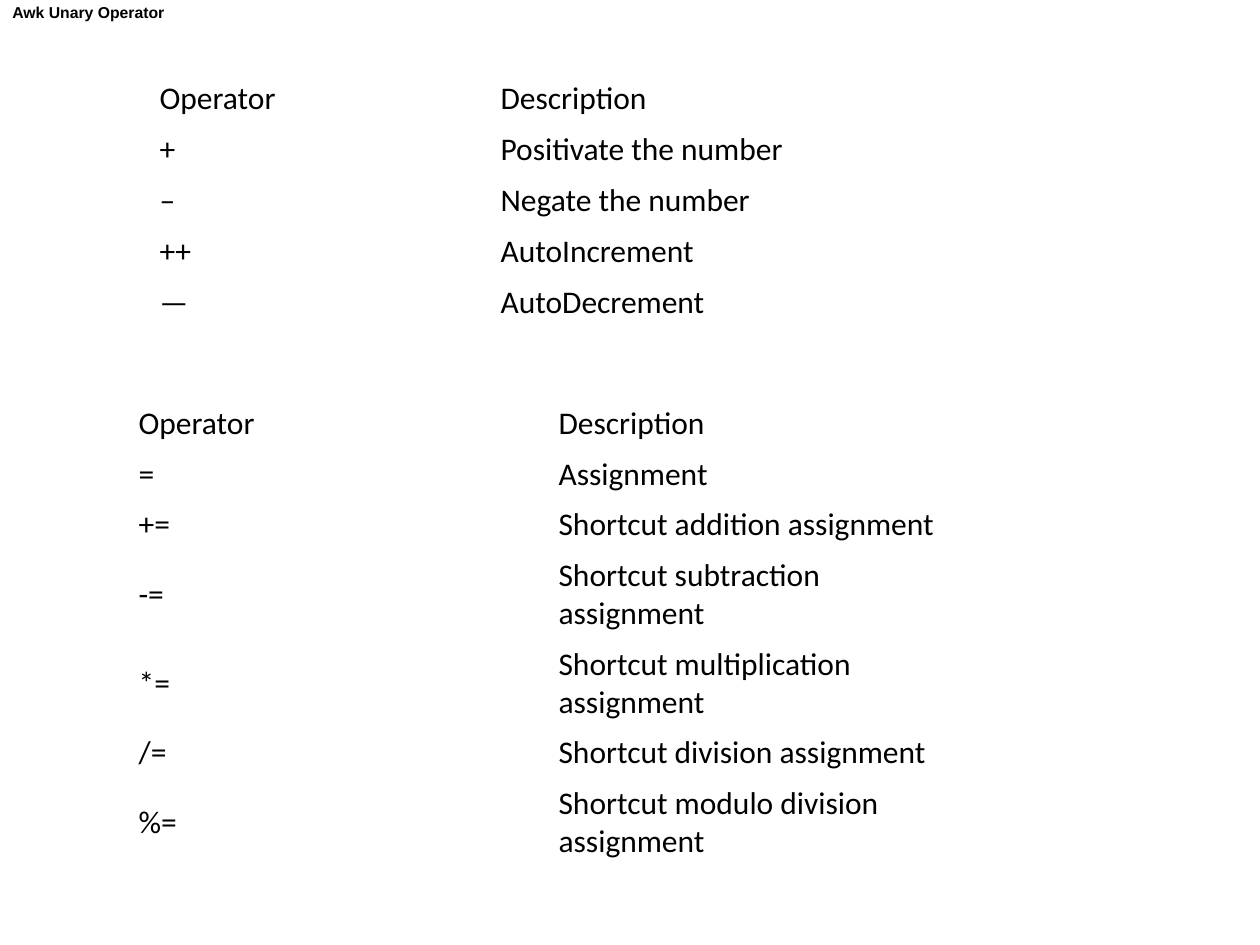
"""Build a slide with two tables of Awk operators."""
from pptx import Presentation
from pptx.dml.color import RGBColor
from pptx.enum.text import MSO_ANCHOR
from pptx.util import Pt

MIDDLE, TOP = MSO_ANCHOR.MIDDLE, MSO_ANCHOR.TOP
PX = 914400 / 126
COLORS = {"text": "000000"}


def px(n):
    return round(n * PX)


def add_run(p, text, font, size, bold=False):
    r = p.add_run()
    r.text = text
    r.font.name = font
    r.font.size = Pt(size)
    r.font.bold = bold
    r.font.color.rgb = RGBColor.from_string(COLORS["text"])


UNARY = [
    ("Operator", "Description"),
    ("+", "Positivate the number"),
    ("–", "Negate the number"),
    ("++", "AutoIncrement"),
    ("—", "AutoDecrement"),
]
ASSIGNMENT = [
    ("Operator", "Description"),
    ("=", "Assignment"),
    ("+=", "Shortcut addition assignment"),
    ("-=", "Shortcut subtraction assignment"),
    ("*=", "Shortcut multiplication assignment"),
    ("/=", "Shortcut division assignment"),
    ("%=", "Shortcut modulo division assignment"),
]
TABLES = [
    (UNARY, 147, 73, 341, 51),
    (ASSIGNMENT, 126, 399, 420, 50),
]

prs = Presentation()
prs.slide_width, prs.slide_height = px(1260), px(945)
s = prs.slides.add_slide(prs.slide_layouts[6])

for rows, left, top, col_w, row_h in TABLES:
    frame = s.shapes.add_table(len(rows), 2, px(left), px(top),
                               px(2 * col_w), px(len(rows) * row_h))
    table = frame.table
    table.first_row = False
    table.horz_banding = False
    for i, row in enumerate(rows):
        table.rows[i].height = px(row_h)
        for j, text in enumerate(row):
            cell = table.cell(i, j)
            cell.fill.background()
            cell.vertical_anchor = MIDDLE
            cell.margin_top = cell.margin_bottom = px(6)
            add_run(cell.text_frame.paragraphs[0], text, "Calibri", 18)

title = s.shapes.add_textbox(0, 0, px(1260), px(63))
tf = title.text_frame
tf.word_wrap = True
tf.vertical_anchor = TOP
tf.margin_top = px(3)
add_run(tf.paragraphs[0], "Awk Unary Operator", "Arial", 9, True)

prs.save("out.pptx")
